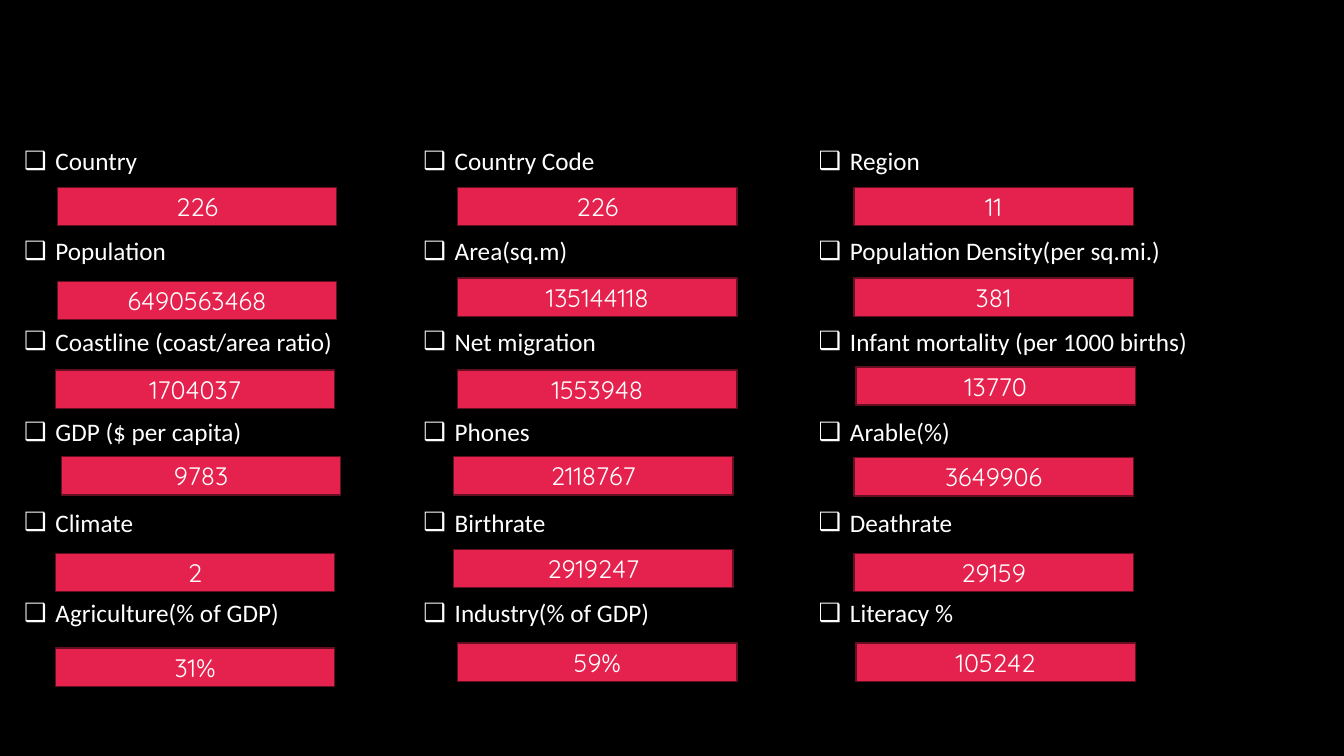
from dataclasses import dataclass

import lxml.etree
import pptx
import pptx.dml.color
import pptx.enum.shapes
import pptx.enum.text
import pptx.oxml.ns
import pptx.util
from pptx.util import Inches


@dataclass(frozen=True)
class Theme:
    background: str = "000000"
    text: str = "FFFFFF"
    fill: str = "E5224E"
    outline: str = "640F22"
    label_font: str = "Calibri"
    value_font: str = "Quicksand"
    size: int = 18


THEME = Theme()
LIST_TOP = 1.39
BOX_WIDTH, BOX_HEIGHT = 2.77, 0.38

# Each row holds label, value, box left and box top.
COLUMNS = [
    (0.14, 4.26, [
        ("Country", "226", 0.57, 1.86),
        ("Population", "6490563468", 0.57, 2.79),
        ("Coastline (coast/area ratio)", "1704037", 0.55, 3.67),
        ("GDP ($ per capita)", "9783", 0.61, 4.53),
        ("Climate", "2", 0.55, 5.49),
        ("Agriculture(% of GDP)", "31%", 0.55, 6.43),
    ]),
    (4.1, 4.26, [
        ("Country Code", "226", 4.54, 1.86),
        ("Area(sq.m)", "135144118", 4.54, 2.76),
        ("Net migration", "1553948", 4.54, 3.67),
        ("Phones", "2118767", 4.5, 4.53),
        ("Birthrate", "2919247", 4.5, 5.45),
        ("Industry(% of GDP)", "59%", 4.54, 6.38),
    ]),
    (8.02, 5.13, [
        ("Region", "11", 8.47, 1.86),
        ("Population Density(per sq.mi.)", "381", 8.47, 2.76),
        ("Infant mortality (per 1000 births)", "13770", 8.49, 3.64),
        ("Arable(%)", "3649906", 8.47, 4.54),
        ("Deathrate", "29159", 8.47, 5.49),
        ("Literacy %", "105242", 8.49, 6.38),
    ]),
]


def color(value):
    return pptx.dml.color.RGBColor.from_string(value)


def add_span(para, text, font):
    span = para.add_run()
    span.text = text
    span.font.name = font
    span.font.size = pptx.util.Pt(THEME.size)
    span.font.bold = False
    span.font.color.rgb = color(THEME.text)


def add_bullet(para):
    properties = para._p.get_or_add_pPr()
    properties.set("marL", str(Inches(0.31)))
    properties.set("indent", str(Inches(-0.31)))
    bullet = lxml.etree.SubElement(properties, pptx.oxml.ns.qn("a:buChar"))
    bullet.set("char", "❑")


def fill_list(box, left, width, labels):
    box.left, box.top = Inches(left), Inches(LIST_TOP)
    box.width, box.height = Inches(width), Inches(4.95)
    frame = box.text_frame
    frame.word_wrap = True
    frame.auto_size = pptx.enum.text.MSO_AUTO_SIZE.NONE
    frame.vertical_anchor = pptx.enum.text.MSO_ANCHOR.TOP
    for index, label in enumerate(labels):
        para = frame.add_paragraph() if index else frame.paragraphs[0]
        para.line_spacing = 1.0
        para.space_before = pptx.util.Pt(0)
        para.space_after = pptx.util.Pt(43)
        add_bullet(para)
        add_span(para, label, THEME.label_font)


def add_value_box(page, value, left, top):
    box = page.shapes.add_shape(
        pptx.enum.shapes.MSO_SHAPE.RECTANGLE,
        Inches(left), Inches(top), Inches(BOX_WIDTH), Inches(BOX_HEIGHT))
    box.shadow.inherit = False
    box.fill.solid()
    box.fill.fore_color.rgb = color(THEME.fill)
    box.line.color.rgb = color(THEME.outline)
    box.line.width = pptx.util.Pt(1)
    box.text_frame.vertical_anchor = pptx.enum.text.MSO_ANCHOR.MIDDLE
    para = box.text_frame.paragraphs[0]
    para.alignment = pptx.enum.text.PP_ALIGN.CENTER
    add_span(para, value, THEME.value_font)


def main():
    deck = pptx.Presentation()
    deck.slide_width, deck.slide_height = Inches(13.33), Inches(7.5)
    page = deck.slides.add_slide(deck.slide_layouts.get_by_name("Comparison"))
    page.background.fill.solid()
    page.background.fill.fore_color.rgb = color(THEME.background)

    title, *bodies = list(page.placeholders)
    for unused in (title, *bodies[len(COLUMNS):]):
        unused.element.getparent().remove(unused.element)

    for body, (left, width, rows) in zip(bodies, COLUMNS):
        fill_list(body, left, width, [row[0] for row in rows])
        for _, value, box_left, box_top in rows:
            add_value_box(page, value, box_left, box_top)

    deck.save("out.pptx")


if __name__ == "__main__":
    main()
